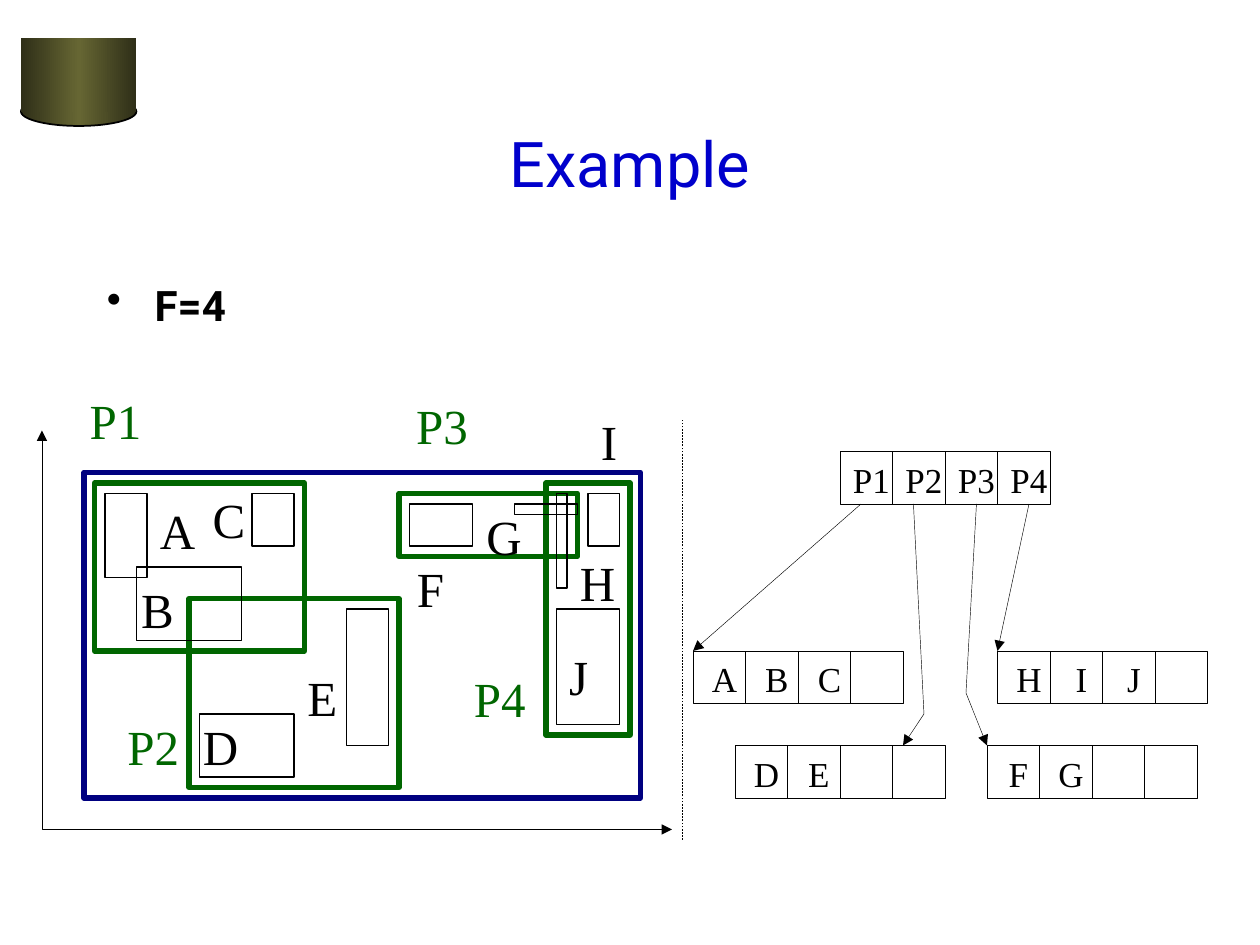
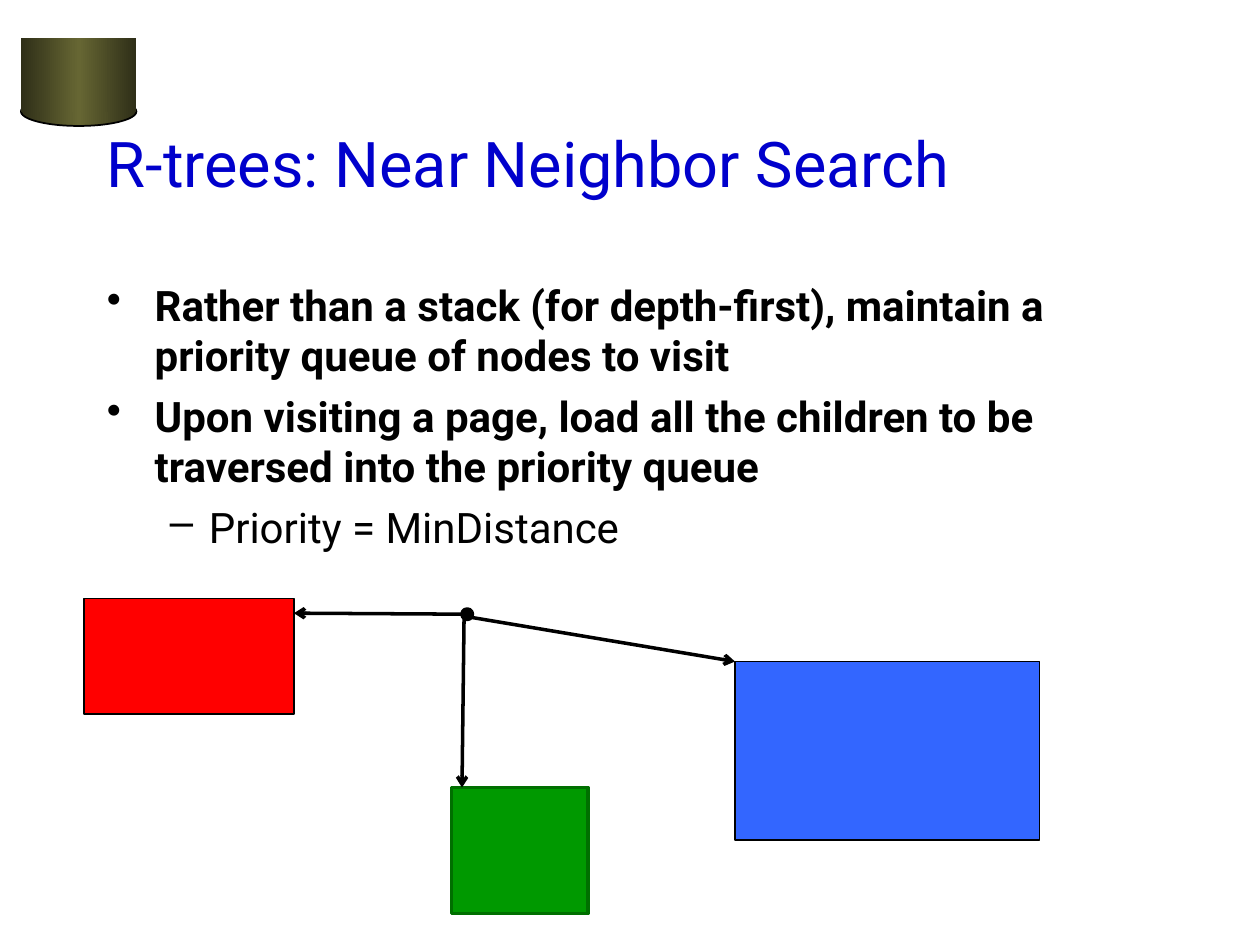
from copy import deepcopy

from lxml import etree
from pptx import Presentation
from pptx import util as u
from pptx.dml.color import RGBColor
from pptx.enum import dml, shapes, text
from pptx.oxml.ns import qn

BLACK = RGBColor(0, 0, 0)
BLUE = RGBColor(0, 0, 0xCC)
NAVY = RGBColor(0, 0, 0x80)
GREEN = RGBColor(0, 0x66, 0)
LEAF = RGBColor(0, 0x99, 0)
MOSS = RGBColor(0, 0x6F, 0)
RED = RGBColor(0xFF, 0, 0)
SKY = RGBColor(0x33, 0x66, 0xFF)
DARK = RGBColor(0x2F, 0x2F, 0x18)
OLIVE = RGBColor(0x66, 0x66, 0x33)

SANS, SERIF = "Roboto", "Times New Roman"
LEFT, MID = text.PP_ALIGN.LEFT, text.PP_ALIGN.CENTER
TOP, HALF = text.MSO_ANCHOR.TOP, text.MSO_ANCHOR.MIDDLE
RECT, OVAL = shapes.MSO_SHAPE.RECTANGLE, shapes.MSO_SHAPE.OVAL
LINE = shapes.MSO_CONNECTOR.STRAIGHT

# The slide is a grid of 120 columns and 90 rows, 12 cells to the inch.
CELL = u.Inches(10) // 120
# Bullet sign, left margin, hanging indent and weight of each level
LEVELS = (("•", 0.38, 0.38, True), ("–", 0.81, 0.31, False))


def paint(item, fill=None, line=BLACK, width=0.75, head=None, tail=None, dash=None):
    """Give a shape or line its fill, outline and arrowheads, without a shadow."""
    if hasattr(item, "fill"):
        if fill is None:
            item.fill.background()
        else:
            item.fill.solid()
            item.fill.fore_color.rgb = fill
    if line is None:
        item.line.fill.background()
    else:
        item.line.color.rgb = line
        item.line.width = u.Pt(width)
    if dash:
        item.line.dash_style = dash
    props = item.element.spPr
    for end, kind in (("a:headEnd", head), ("a:tailEnd", tail)):
        if kind:
            etree.SubElement(props.find(qn("a:ln")), qn(end), type=kind)
    etree.SubElement(props, qn("a:effectLst"))


def write(slide, box, *words, font=SERIF, size=28, color=BLACK, align=MID,
          anchor=HALF, wrap=False, levels=None):
    """Add a text box with one paragraph for each string."""
    frame = slide.shapes.add_textbox(*(int(CELL * n) for n in box)).text_frame
    frame.word_wrap = wrap
    frame.vertical_anchor = anchor
    for i, word in enumerate(words):
        para = frame.add_paragraph() if i else frame.paragraphs[0]
        para.alignment = align
        run = para.add_run()
        run.text = word
        run.font.name, run.font.size = font, u.Pt(size)
        run.font.color.rgb = color
        if levels:
            sign, left, hang, bold = LEVELS[levels[i]]
            props = para._p.get_or_add_pPr()
            props.set("marL", str(u.Inches(left)))
            props.set("indent", str(-u.Inches(hang)))
            etree.SubElement(props, qn("a:buChar"), char=sign)
            run.font.bold = bold
            if i:
                para.space_before = u.Pt(6)


deck = Presentation()
deck.slide_width, deck.slide_height = 120 * CELL, 90 * CELL

# Drum, title and bullets of each slide
pages = (
    ("Example", MID, ["F=4"], [0]),
    ("R-trees: Near Neighbor Search", LEFT, [
        "Rather than a stack (for depth-first), maintain a priority queue of nodes to visit",
        "Upon visiting a page, load all the children to be traversed into the priority queue",
        "Priority = MinDistance"], [0, 0, 1]),
)
for title, align, points, levels in pages:
    slide = deck.slides.add_slide(deck.slide_layouts[6])
    for kind, box, line in ((OVAL, (2, 9.24, 11, 2.76), BLACK),
                            (RECT, (2, 3.6, 11, 7.08), None)):
        drum = slide.shapes.add_shape(kind, *(int(CELL * n) for n in box))
        paint(drum, line=line, width=1)
        drum.fill.gradient()
        drum.fill.gradient_angle = 0
        stops = drum.element.spPr.find(".//" + qn("a:gsLst"))
        stops.insert(1, deepcopy(stops[0]))
        for stop, spot, tint in zip(drum.fill.gradient_stops, (0, 0.5, 1),
                                    (DARK, OLIVE, DARK)):
            stop.position, stop.color.rgb = spot, tint
    write(slide, (9, 8, 102, 15), title, font=SANS, size=36, color=BLUE,
          align=align, wrap=True)
    write(slide, (9, 26, 102, 54), *points, font=SANS, size=24, align=LEFT,
          anchor=TOP, wrap=True, levels=levels)

plan, near = deck.slides

# Map: pages in green, objects in black, the whole space in navy
green = ((9, 46, 20, 16), (52, 46, 8, 24), (18, 57, 20, 18), (38, 47, 17, 6))
black = ((10, 47, 4, 8), (24, 47, 4, 5), (13, 54, 10, 7), (19, 68, 9, 6),
         (33, 58, 4, 13), (39, 48, 6, 4), (53, 58, 6, 11), (56, 47, 3, 5),
         (49, 48, 6, 1), (53, 47, 1, 9))
for boxes, color, width in ((green, GREEN, 3), (black, BLACK, 0.75),
                            (((8, 45, 53, 31),), NAVY, 3)):
    for box in boxes:
        rect = plan.shapes.add_shape(RECT, *(CELL * n for n in box))
        paint(rect, line=color, width=width)

# Map labels by their centres
names = {
    "A": (16.9, 50.5), "B": (15, 58), "C": (21.8, 49.4), "D": (21, 71),
    "E": (30.7, 66.4), "F": (41, 56), "G": (48, 51), "H": (56.9, 55.4),
    "I": (58, 42), "J": (55.1, 64.4),
    "P1": (11, 40), "P2": (14.6, 71), "P3": (42.1, 40.5), "P4": (47.6, 66.5),
}
for name, (x, y) in names.items():
    write(plan, (x - 4, y - 3.4, 8, 6.8), name,
          color=GREEN if name.startswith("P") else BLACK)

# Tree: each node has four square slots
SLOT = 5
nodes = ((80, 43, ("P1", "P2", "P3", "P4")), (94, 71, "FG"), (70, 71, "DE"),
         (95, 62, "HIJ"), (66, 62, "ABC"))
for left, top, keys in nodes:
    for i in range(4):
        box = (left + i * SLOT, top, SLOT, SLOT)
        paint(plan.shapes.add_shape(RECT, *(CELL * n for n in box)), width=0.25)
    for i, key in enumerate(keys):
        write(plan, (left + i * SLOT, top, 6, 5.3), key, size=20)

# Axes and bent pointers
bends = (((4, 41), (4, 79), (64, 79)), ((87, 48), (88, 68), (86, 71)),
         ((93, 48), (92, 66), (94, 71)))
for i, (start, *rest) in enumerate(bends):
    form = plan.shapes.build_freeform(*start, scale=CELL)
    form.add_line_segments(rest, close=False)
    paint(form.convert_to_shape(), width=0.25, tail="triangle",
          head=None if i else "triangle")

# Regions and query point of the search
for kind, box, fill, line, width in (
        (RECT, (70, 63, 29, 17), SKY, BLACK, 0.75),
        (RECT, (8, 57, 20, 11), RED, BLACK, 0.75),
        (RECT, (43, 75, 13, 12), LEAF, MOSS, 2),
        (OVAL, (44, 58, 1, 1), BLACK, BLACK, 2)):
    area = near.shapes.add_shape(kind, *(CELL * n for n in box))
    paint(area, fill=fill, line=line, width=width)

# Straight lines of both slides
thin = dict(width=0.25, tail="triangle")
bold = dict(width=2, tail="arrow")
for slide, ends, look in (
        (plan, (65, 80, 65, 40), dict(width=0.25, dash=dml.MSO_LINE.DASH)),
        (plan, (82, 48, 66, 62), thin),
        (plan, (98, 48, 95, 62), thin),
        (near, (44.9, 58.8, 70, 63), bold),
        (near, (45, 58.5, 28, 58.4), bold),
        (near, (44.2, 58.8, 44, 75), bold)):
    line = slide.shapes.add_connector(LINE, *(int(CELL * n) for n in ends))
    paint(line, **look)

deck.save("out.pptx")
